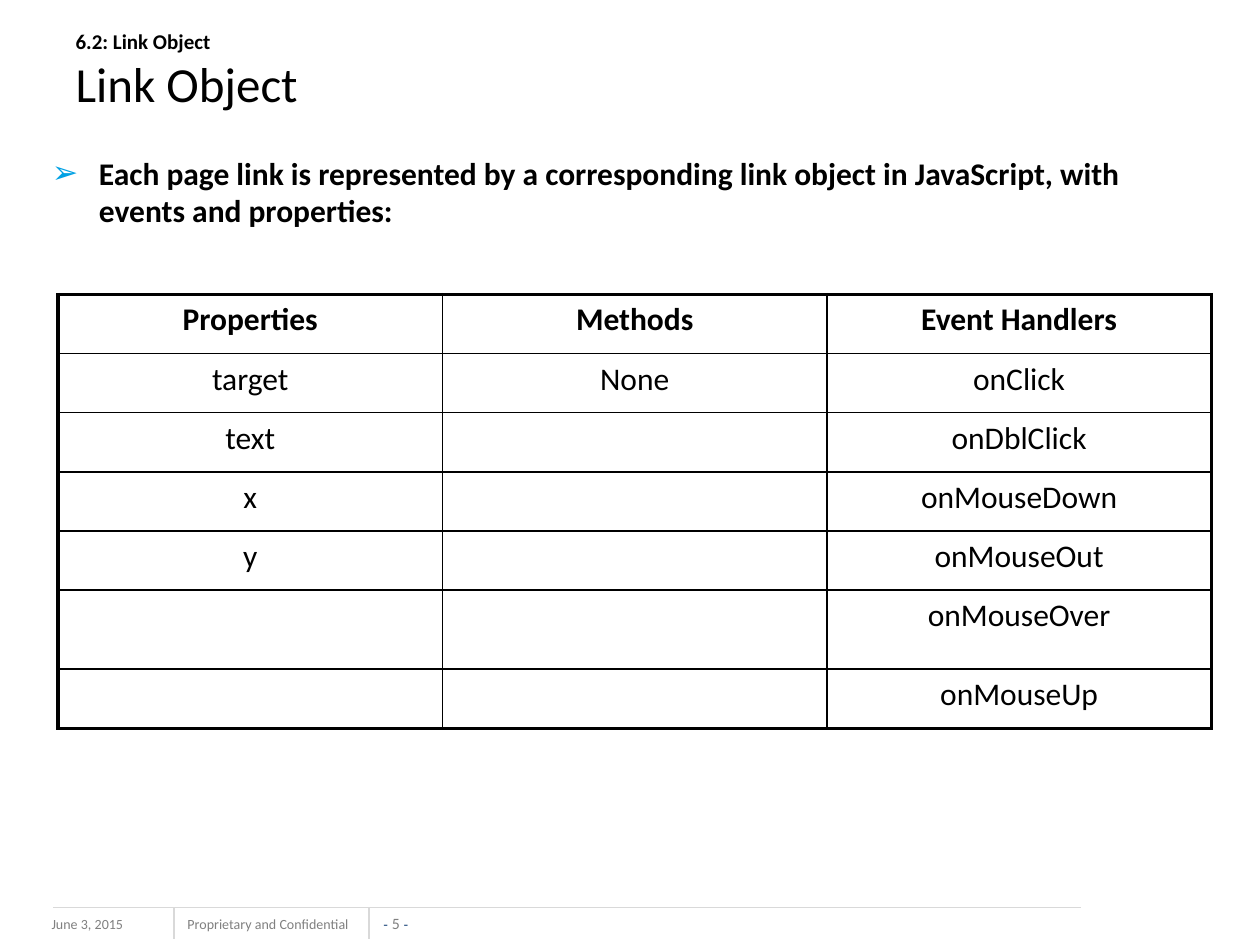
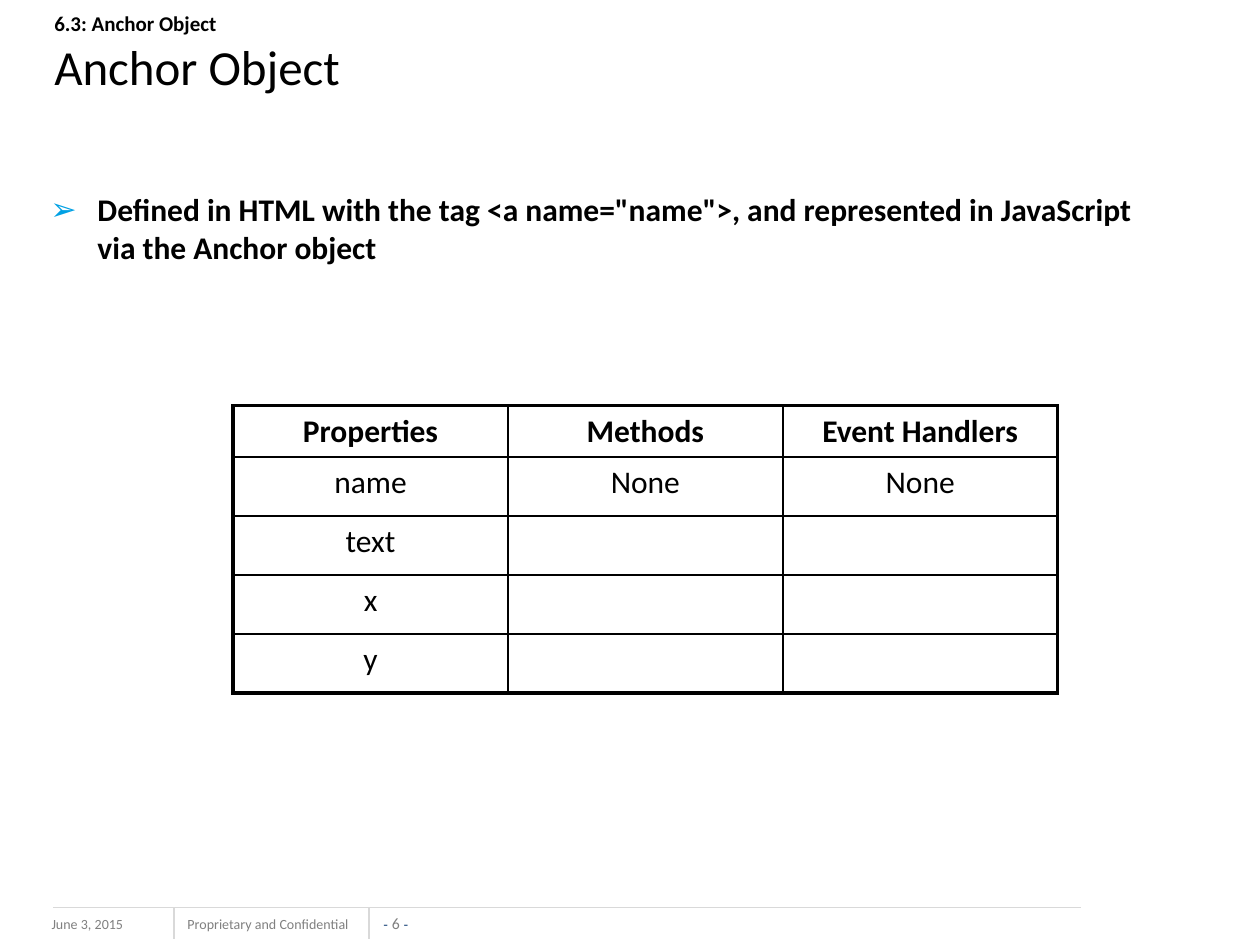
"""Build two slides on the Link and Anchor objects of JavaScript."""
from copy import deepcopy

from lxml.etree import SubElement
from pptx import Presentation
from pptx.dml.color import RGBColor
from pptx.enum.shapes import MSO_CONNECTOR
from pptx.enum.text import MSO_ANCHOR, MSO_AUTO_SIZE, PP_ALIGN
from pptx.oxml.ns import qn
from pptx.util import Cm, Pt

COLOURS = {"text": "000000", "bullet": "00A1E4", "footer": "808080",
           "dash": "1F497D", "rule": "D9D9D9", "border": "000000"}
HEADINGS = ["Properties", "Methods", "Event Handlers"]
FOOTER_TEXTS = [("June 3, 2015", 0.79, 3.38),
                ("Proprietary and Confidential", 3.53, 3.99)]
FOOTER_RULES = [(21.79, 18.29, 1.07, 18.29), (3.51, 18.29, 3.51, 18.92),
                (7.44, 18.29, 7.44, 18.92)]
TOPICS = [
    {"number": 5, "section": "6.2: Link Object", "title": "Link Object",
     "title_place": (1.27, 0.43, 22.86, 1.98),
     "body": "Each page link is represented by a corresponding link object "
             "in JavaScript, with events and properties:",
     "body_place": (0.79, 2.97, 23.65, 12.37),
     "corner": (1.17, 5.94), "column_width": 7.75,
     "row_heights": [1.19] * 5 + [1.6, 1.19],
     "columns": [["target", "text", "x", "y"], ["None"],
                 ["onClick", "onDblClick", "onMouseDown", "onMouseOut",
                  "onMouseOver", "onMouseUp"]]},
    {"number": 6, "section": "6.3: Anchor Object", "title": "Anchor Object",
     "title_place": (0.84, 0.33, 23.29, 1.47),
     "body": 'Defined in HTML with the tag <a name="name">, and represented '
             "in JavaScript via the Anchor object",
     "body_place": (0.76, 3.71, 22.86, 13.59),
     "corner": (4.7, 8.18), "column_width": 5.54,
     "row_heights": [1.03] + [1.19] * 4,
     "columns": [["name", "text", "x", "y"], ["None"], ["None"]]},
]


def format_span(span, size, colour="text", bold=False, name="Calibri"):
    span.font.name = name
    span.font.size = Pt(size)
    span.font.bold = bold
    span.font.color.rgb = RGBColor.from_string(COLOURS[colour])


def place(box, left, top, width, height):
    box.left, box.top, box.width, box.height = map(Cm, (left, top, width, height))
    box.text_frame.auto_size = MSO_AUTO_SIZE.NONE
    box.text_frame.word_wrap = True


deck = Presentation()
deck.slide_width, deck.slide_height = Cm(25.4), Cm(19.05)

for topic in TOPICS:
    page = deck.slides.add_slide(deck.slide_layouts[1])

    for left, top, right, bottom in FOOTER_RULES:
        rule = page.shapes.add_connector(
            MSO_CONNECTOR.STRAIGHT, Cm(left), Cm(top), Cm(right), Cm(bottom))
        rule.line.color.rgb = RGBColor.from_string(COLOURS["rule"])
        rule.line.width = Pt(0.75)
        SubElement(rule._element.spPr, qn("a:effectLst"))
    for text, left, width in FOOTER_TEXTS:
        box = page.shapes.add_textbox(0, 0, 0, 0)
        place(box, left, 18.34, width, 0.62)
        box.text_frame.text = text
        format_span(box.text_frame.paragraphs[0].runs[0], 8, "footer")

    box = page.shapes.add_textbox(0, 0, 0, 0)
    place(box, 7.65, 18.42, 0.66, 0.38)
    frame = box.text_frame
    frame.word_wrap = False
    frame.vertical_anchor = MSO_ANCHOR.BOTTOM
    frame.margin_left = frame.margin_right = frame.margin_top = frame.margin_bottom = 0
    para = frame.paragraphs[0]
    para.alignment = PP_ALIGN.CENTER
    for text, size, colour, name in [("- ", 8, "dash", "Arial"),
                                     (f"{topic['number']} ", 9, "footer", "Calibri"),
                                     ("-", 8, "dash", "Arial")]:
        span = para.add_run()
        span.text = text
        format_span(span, size, colour, name=name)

    title = page.shapes.title
    place(title, *topic["title_place"])
    title.text_frame.vertical_anchor = MSO_ANCHOR.MIDDLE
    para = title.text_frame.paragraphs[0]
    para.text = f"{topic['section']}\v{topic['title']}"
    para.alignment = PP_ALIGN.LEFT
    section, heading = para.runs
    format_span(section, 12, bold=True)
    format_span(heading, 28)
    para._p.find(qn("a:br")).append(deepcopy(section._r.rPr))

    body = page.placeholders[1]
    place(body, *topic["body_place"])
    para = body.text_frame.paragraphs[0]
    para.text = topic["body"]
    para.space_before = Pt(0)
    properties = para._p.get_or_add_pPr()
    properties.set("marL", str(Cm(0.95)))
    properties.set("indent", str(Cm(-0.95)))
    bullet_colour = SubElement(properties, qn("a:buClr"))
    SubElement(bullet_colour, qn("a:srgbClr"), val=COLOURS["bullet"])
    SubElement(properties, qn("a:buFont"), typeface="Arial")
    SubElement(properties, qn("a:buChar"), char="➢")
    format_span(para.runs[0], 18, bold=True)

    heights = topic["row_heights"]
    last_row, last_column = len(heights) - 1, len(HEADINGS) - 1
    left, top = topic["corner"]
    table = page.shapes.add_table(
        len(heights), len(HEADINGS), Cm(left), Cm(top),
        Cm(topic["column_width"] * len(HEADINGS)), Cm(sum(heights))).table
    table.first_row = table.horz_banding = False
    for row, height in zip(table.rows, heights):
        row.height = Cm(height)
    for c, (heading, entries) in enumerate(zip(HEADINGS, topic["columns"])):
        table.columns[c].width = Cm(topic["column_width"])
        texts = [heading] + entries
        for r in range(len(heights)):
            cell = table.cell(r, c)
            para = cell.text_frame.paragraphs[0]
            para.alignment = PP_ALIGN.CENTER
            if r < len(texts):
                para.text = texts[r]
                format_span(para.runs[0], 18, bold=r == 0)
            cell_properties = cell._tc.get_or_add_tcPr()
            for side, outer in [("L", c == 0), ("R", c == last_column),
                                ("T", r == 0), ("B", r == last_row)]:
                border = SubElement(cell_properties, qn(f"a:ln{side}"),
                                    w=str(Pt(2.25 if outer else 1)))
                fill = SubElement(border, qn("a:solidFill"))
                SubElement(fill, qn("a:srgbClr"), val=COLOURS["border"])
            cell.fill.background()

deck.save("out.pptx")
